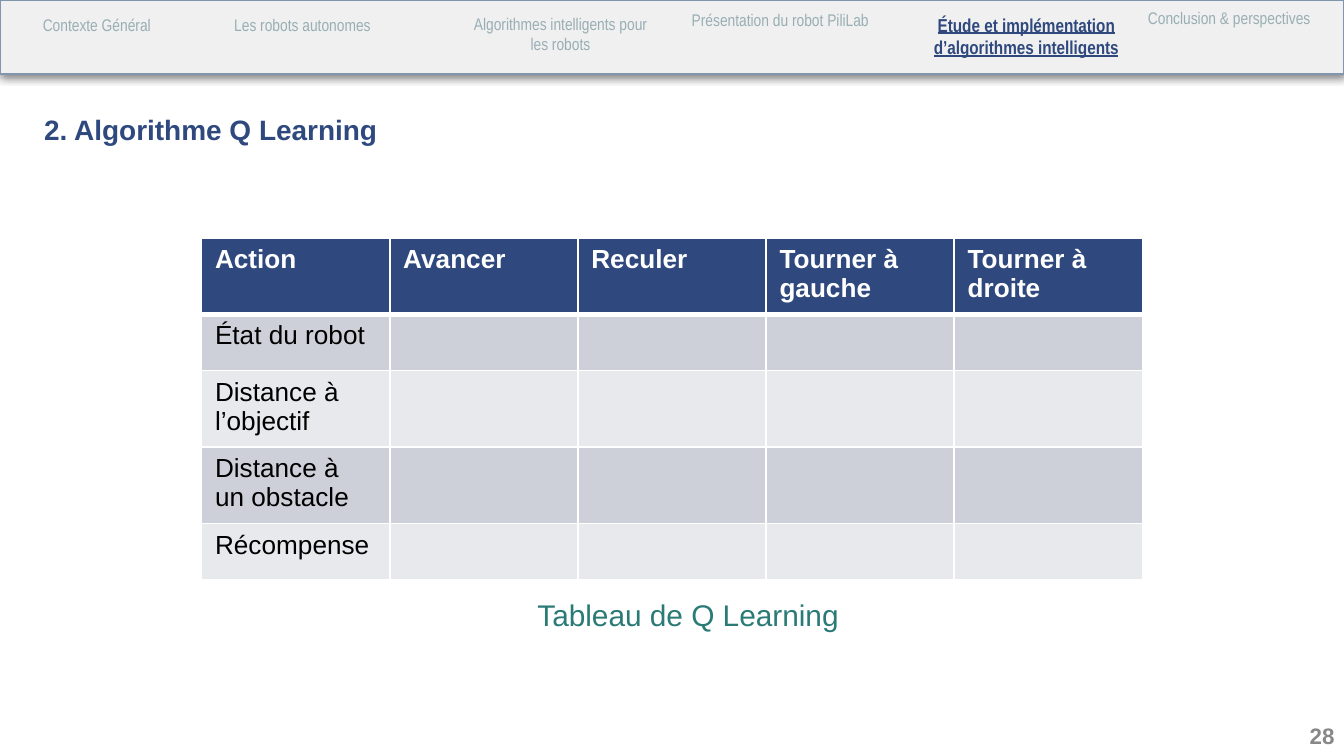
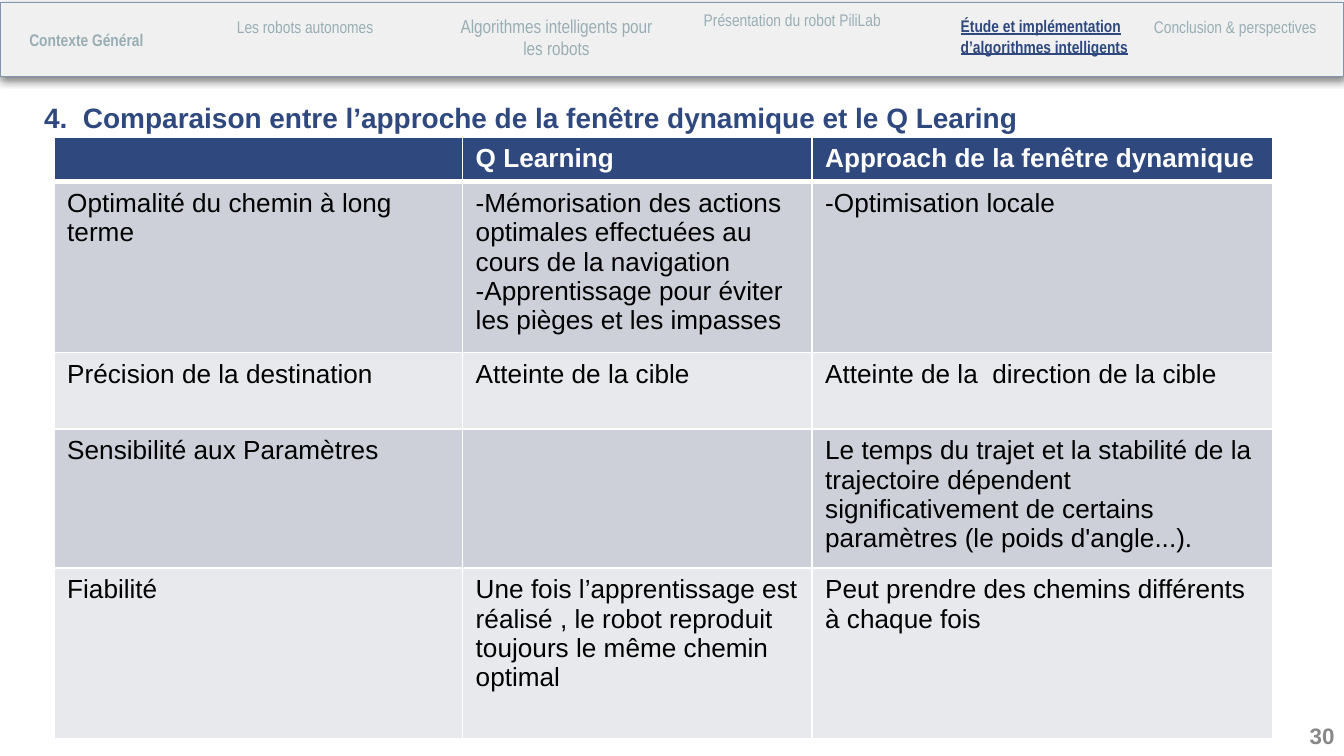
"""Build two slides that present Q Learning and compare it with the dynamic window approach."""
from lxml.etree import SubElement as Sub
from pptx import Presentation
from pptx.dml.color import RGBColor as Rgb
from pptx.enum.shapes import MSO_SHAPE as Shape
from pptx.enum.text import MSO_ANCHOR as Anchor, PP_ALIGN as Align
from pptx.oxml.ns import qn
from pptx.util import Inches, Pt

NAVY = Rgb(0x2F, 0x49, 0x7E)
TEAL = Rgb(0x2A, 0x7B, 0x76)
MIST = Rgb(0x98, 0xAE, 0xB4)
GREY = Rgb(0x88, 0x88, 0x88)
BAND = Rgb(0xF0, 0xF0, 0xF0)
EDGE = Rgb(0x82, 0x95, 0xAF)
DARK = Rgb(0xCD, 0xD0, 0xD8)
PALE = Rgb(0xE8, 0xE9, 0xEC)
WHITE = Rgb(0xFF, 0xFF, 0xFF)
BLACK = Rgb(0, 0, 0)

TABS = [
    "Contexte Général",
    "Les robots autonomes",
    "Algorithmes intelligents pour\nles robots",
    "Présentation du robot PiliLab",
    "Étude et implémentation d’algorithmes intelligents",
    "Conclusion & perspectives",
]
HERE = dict(color=NAVY, bold=True, under=True)

SLIDES = [
    dict(
        title="2. Algorithme Q Learning", spot=(0.23, 0.79, 5.06, 0.4), page="28", band=0,
        tabs=[
            ((0, 0.03, 1.44, 0.55), {}),
            ((1.33, 0.03, 1.84, 0.55), {}),
            ((3.32, 0, 1.7, 0.55), {}),
            ((5.02, 0, 1.57, 0.62), {}),
            ((6.74, 0, 1.79, 0.55), dict(HERE, size=10)),
            ((8.4, -0.02, 1.49, 0.7), {}),
        ],
        at=(1.5, 1.77), cols=[1.4] * 5, rows=[0.56, 0.42, 0.57, 0.57, 0.42],
        cells=[
            ["Action", "Avancer", "Reculer", "Tourner à gauche", "Tourner à droite"],
            ["État du robot"],
            ["Distance à\nl’objectif"],
            ["Distance à\nun obstacle"],
            ["Récompense"],
        ],
        note="Tableau de Q Learning",
    ),
    dict(
        title="4.  Comparaison entre l’approche de la fenêtre dynamique et le Q Learing",
        spot=(0.23, 0.7, 7.69, 0.4), page="30", band=0.02,
        tabs=[
            ((0.12, 0.02, 1.3, 0.55), dict(bold=True, align=Align.LEFT, anchor=Anchor.MIDDLE)),
            ((1.35, 0.05, 1.84, 0.35), {}),
            ((3.2, 0.01, 1.88, 0.7), dict(size=10)),
            ((5.11, 0, 1.57, 0.62), {}),
            ((7.05, 0.02, 1.49, 0.89), dict(HERE, align=Align.LEFT)),
            ((8.38, 0.05, 1.62, 0.59), {}),
        ],
        at=(0.4, 1.02), cols=[3.04, 2.6, 3.43], rows=[0.33, 1.27, 0.57, 1.03, 1.27],
        cells=[
            ["", "Q Learning", "Approach de la fenêtre dynamique"],
            ["Optimalité du chemin à long terme",
             "-Mémorisation des actions optimales effectuées au cours de la navigation\n"
             "-Apprentissage pour éviter les pièges et les impasses",
             "-Optimisation locale"],
            ["Précision de la destination", "Atteinte de la cible",
             "Atteinte de la  direction de la cible"],
            ["Sensibilité aux Paramètres", "",
             "Le temps du trajet et la stabilité de la trajectoire dépendent "
             "significativement de certains paramètres (le poids d'angle...)."],
            ["Fiabilité",
             "Une fois l’apprentissage est réalisé , le robot reproduit toujours "
             "le même chemin optimal",
             "Peut prendre des chemins différents à chaque fois"],
        ],
        note="",
    ),
]


def write(frame, text, size=14, font="Arial", color=BLACK, bold=False, under=False,
          align=Align.LEFT, anchor=Anchor.TOP, pad=None):
    """Fill a text frame, one paragraph a line."""
    frame.word_wrap = True
    if pad:
        frame.vertical_anchor = anchor
        frame.margin_left = frame.margin_right = Inches(pad[0])
        frame.margin_top = frame.margin_bottom = Inches(pad[1])
    for i, line in enumerate(text.split("\n")):
        para = frame.add_paragraph() if i else frame.paragraphs[0]
        para.alignment = align
        if not line:
            Sub(para._p, qn("a:endParaRPr"), sz=str(size * 100))
            continue
        run = para.add_run()
        run.text = line
        face = run.font
        face.size, face.name, face.bold, face.underline = Pt(size), font, bold, under
        face.color.rgb = color


def label(slide, box, text, pad=(0.1, 0.05), **form):
    """Place a text box."""
    item = slide.shapes.add_textbox(*map(Inches, box))
    write(item.text_frame, text, pad=pad, **form)


def header(slide, top, tabs):
    """Draw the shaded band and its section names."""
    bar = slide.shapes.add_shape(Shape.RECTANGLE, 0, Inches(top), Inches(10), Inches(0.55))
    bar.fill.solid()
    bar.fill.fore_color.rgb = BAND
    bar.line.color.rgb = EDGE
    bar.line.width = Pt(0.75)
    bar.shadow.inherit = False
    glow = Sub(bar._element.spPr.find(qn("a:effectLst")), qn("a:outerShdw"),
               blurRad=str(Pt(4.5)), dist=str(Pt(1.5)), dir="5400000", rotWithShape="0")
    tint = Sub(glow, qn("a:srgbClr"), val=str(BLACK))
    Sub(tint, qn("a:alpha"), val="49000")
    for text, (box, form) in zip(TABS, tabs):
        base = dict(size=9, font="Arial Narrow", color=MIST, align=Align.CENTER, pad=(0.1, 0.1))
        label(slide, box, text, **{**base, **form})


def border(cell, row):
    """Draw white cell edges, thick under the head row."""
    for side in "LRTB":
        thick = (row, side) in ((0, "B"), (1, "T"))
        edge = Sub(cell._tc.get_or_add_tcPr(), qn("a:ln" + side), w=str(Pt(3 if thick else 1)))
        Sub(Sub(edge, qn("a:solidFill")), qn("a:srgbClr"), val=str(WHITE))


def grid(slide, at, cols, rows, cells):
    """Add the table with a navy head and striped rows."""
    size = (sum(cols), sum(rows))
    table = slide.shapes.add_table(len(rows), len(cols), *map(Inches, at + size)).table
    for part, wide in zip(table.columns, cols):
        part.width = Inches(wide)
    for r, (part, high) in enumerate(zip(table.rows, rows)):
        part.height = Inches(high)
        head = r == 0
        texts = cells[r] + [""] * (len(cols) - len(cells[r]))
        for cell, text in zip(part.cells, texts):
            border(cell, r)
            cell.fill.solid()
            cell.fill.fore_color.rgb = NAVY if head else DARK if r % 2 else PALE
            write(cell.text_frame, text, color=WHITE if head else BLACK, bold=head)


def main():
    """Build and save the deck."""
    deck = Presentation()
    deck.slide_width = Inches(10)
    deck.slide_height = deck.slide_width * 9 // 16
    for data in SLIDES:
        slide = deck.slides.add_slide(deck.slide_layouts[6])
        header(slide, data["band"], data["tabs"])
        label(slide, data["spot"], data["title"], size=15, color=NAVY, bold=True)
        grid(slide, data["at"], data["cols"], data["rows"], data["cells"])
        if data["note"]:
            label(slide, (3.9, 4.39, 3.19, 0.37), data["note"], size=16, color=TEAL)
        label(slide, (9.64, 5.33, 0.36, 0.3), data["page"], size=12, color=GREY, bold=True,
              align=Align.RIGHT, pad=(0.07, 0.04))
    deck.save("out.pptx")


if __name__ == "__main__":
    main()
